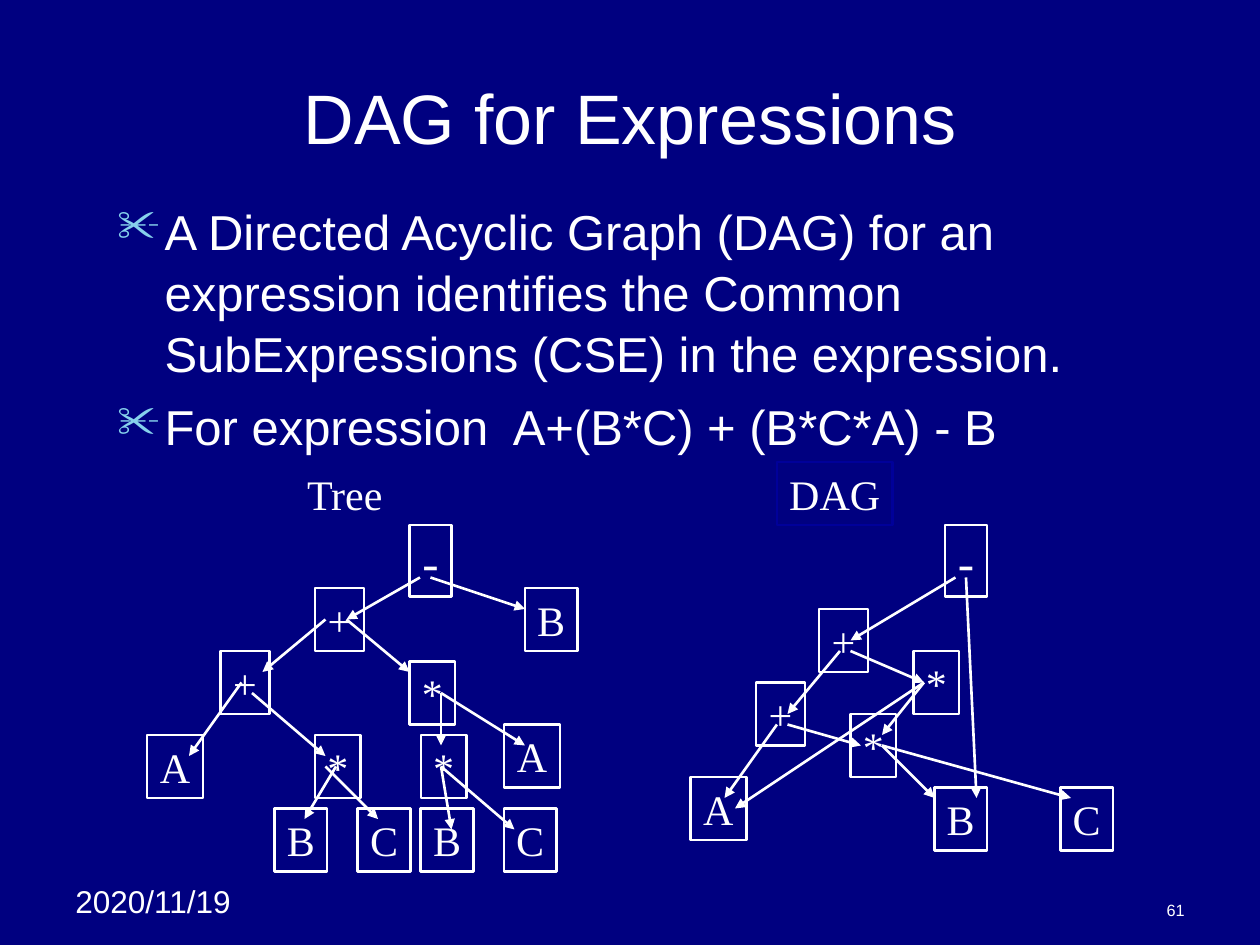
import pptx
import pptx.util
import pptx.dml.color
import pptx.enum.shapes
import pptx.enum.text
import pptx.oxml
import pptx.oxml.ns

Pt = pptx.util.Pt
ALIGN = pptx.enum.text.PP_ALIGN
ANCHOR = pptx.enum.text.MSO_ANCHOR

COLORS = {"background": "000080", "text": "FFFFFF", "bullet": "86D1EC", "label": "000099"}
TITLE = "DAG for Expressions"
POINTS = [
    "A Directed Acyclic Graph (DAG) for an expression identifies the Common "
    "SubExpressions (CSE) in the expression.",
    "For expression  A+(B*C) + (B*C*A) - B",
]
LABELS = [("Tree", 168, 58, None), ("DAG", 444, 66, "label")]
LABEL_TOP = 264

NODE_SIZES = {"-": (24, 41), "+": (28, 36), "*": (26, 36),
              "A": (32, 36), "B": (30, 36), "C": (30, 36)}
TREE_NODES = [
    ("-", 234, 300), ("+", 180, 336), ("B", 300, 336), ("+", 126, 372), ("*", 234, 378),
    ("A", 84, 420), ("*", 180, 420), ("*", 240.5, 420), ("A", 288, 414),
    ("B", 157, 462), ("C", 204.5, 462), ("B", 240.5, 462), ("C", 288, 462),
]
DAG_NODES = [
    ("-", 540, 300), ("+", 468, 348), ("*", 522, 372), ("+", 432, 390),
    ("*", 486, 408), ("A", 394.5, 444), ("B", 534, 450), ("C", 606, 450),
]
TREE_EDGES = [
    (240, 330, 198, 354), (246, 330, 300, 348), (186, 354, 150, 384), (198, 354, 234, 384),
    (138, 390, 108, 432), (144, 396, 186, 432), (252, 396, 252, 426), (252, 396, 300, 426),
    (192, 438, 174, 468), (186, 438, 216, 468), (252, 438, 258, 474), (252, 438, 294, 474),
]
DAG_EDGES = [
    (546, 330, 486, 366), (552, 330, 558, 456), (480, 372, 450, 408), (486, 372, 528, 390),
    (528, 390, 504, 420), (528, 390, 420, 462), (444, 414, 414, 456), (450, 414, 492, 426),
    (504, 426, 534, 456), (504, 426, 612, 456),
]


def apply(target, values):
    for name, value in values.items():
        setattr(target, name, value)


def rgb(name):
    return pptx.dml.color.RGBColor.from_string(COLORS[name])


def place(shape, left, top, width, height):
    apply(shape, {"left": Pt(left), "top": Pt(top), "width": Pt(width), "height": Pt(height)})


def write(paragraph, text, size, font="Arial", align=ALIGN.LEFT):
    paragraph.text = text
    paragraph.alignment = align
    apply(paragraph.font, {"size": Pt(size), "name": font})
    paragraph.font.color.rgb = rgb("text")


def add_text(slide, box, text, size, align=ALIGN.LEFT, anchor=ANCHOR.TOP):
    shape = slide.shapes.add_textbox(*map(Pt, box))
    apply(shape.text_frame, {"word_wrap": True, "vertical_anchor": anchor})
    write(shape.text_frame.paragraphs[0], text, size, align=align)
    return shape


def add_box(slide, text, left, top, width, height, outline, size=24):
    shape = slide.shapes.add_shape(
        pptx.enum.shapes.MSO_SHAPE.RECTANGLE, *map(Pt, (left, top, width, height)))
    shape.shadow.inherit = False
    shape.fill.background()
    if outline:
        shape.line.color.rgb = rgb(outline)
        shape.line.width = Pt(1.5)
    else:
        shape.line.fill.background()
    apply(shape.text_frame, {"word_wrap": False, "vertical_anchor": ANCHOR.TOP})
    write(shape.text_frame.paragraphs[0], text, size, "Times New Roman", ALIGN.CENTER)


def add_arrow(slide, edge):
    arrow = slide.shapes.add_connector(
        pptx.enum.shapes.MSO_CONNECTOR.STRAIGHT, *map(Pt, edge))
    arrow.line.color.rgb = rgb("text")
    arrow.line.width = Pt(1.5)
    line = arrow.line._get_or_add_ln()
    line.append(pptx.oxml.parse_xml(
        f'<a:tailEnd {pptx.oxml.ns.nsdecls("a")} type="triangle"/>'))
    line.addnext(pptx.oxml.parse_xml(f'<a:effectLst {pptx.oxml.ns.nsdecls("a")}/>'))


def add_bullet(paragraph):
    properties = paragraph._p.get_or_add_pPr()
    properties.set("marL", str(Pt(27)))
    properties.set("indent", str(Pt(-27)))
    namespace = pptx.oxml.ns.nsdecls("a")
    for element in (
        f'<a:buClr {namespace}><a:srgbClr val="{COLORS["bullet"]}"/></a:buClr>',
        f'<a:buSzPct {namespace} val="90000"/>',
        f'<a:buChar {namespace} char="✂"/>',
    ):
        properties.append(pptx.oxml.parse_xml(element))


def main():
    presentation = pptx.Presentation()
    apply(presentation, {"slide_width": Pt(720), "slide_height": Pt(540)})
    slide = presentation.slides.add_slide(presentation.slide_layouts[5])
    slide.background.fill.solid()
    slide.background.fill.fore_color.rgb = rgb("background")

    title = slide.shapes.title
    place(title, 36, 21.6, 648, 90)
    title.text_frame.vertical_anchor = ANCHOR.MIDDLE
    write(title.text_frame.paragraphs[0], TITLE, 40, align=ALIGN.CENTER)

    body = add_text(slide, (60, 110, 612, 400), POINTS[0], 28).text_frame
    write(body.add_paragraph(), POINTS[1], 28)
    for index, paragraph in enumerate(body.paragraphs):
        paragraph.line_spacing = 1.04
        if index:
            paragraph.space_before = Pt(7)
        add_bullet(paragraph)

    for text, left, width, outline in LABELS:
        add_box(slide, text, left, LABEL_TOP, width, 36, outline)
    for symbol, left, top in TREE_NODES + DAG_NODES:
        size = 28 if symbol == "-" else 24
        add_box(slide, symbol, left, top, *NODE_SIZES[symbol], "text", size)
    for edge in TREE_EDGES + DAG_EDGES:
        add_arrow(slide, edge)

    add_text(slide, (36, 500.5, 114, 29), "2020/11/19", 18)
    add_text(slide, (516, 510, 168, 19), "61", 9.3, ALIGN.RIGHT, ANCHOR.BOTTOM)
    presentation.save("out.pptx")


if __name__ == "__main__":
    main()
